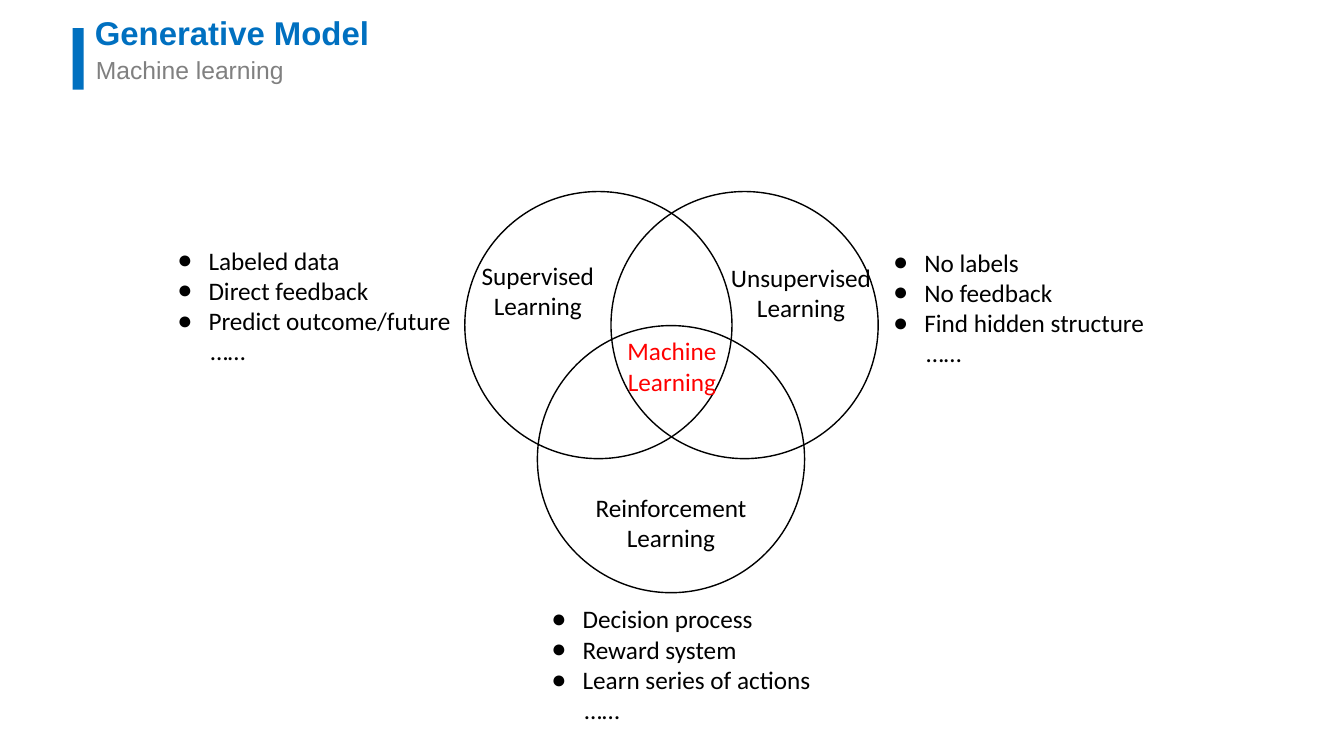
from lxml import etree
from pptx import Presentation
from pptx import util as u
from pptx.dml.color import RGBColor
from pptx.enum import shapes, text
from pptx.oxml import ns

PX = 9144  # EMU per px, 100 px to the inch
BLUE = RGBColor(0x00, 0x70, 0xC0)
GREY = RGBColor(0x80, 0x80, 0x80)
BLACK = RGBColor(0, 0, 0)
RED = RGBColor(0xFF, 0, 0)
WHITE = RGBColor(0xFF, 0xFF, 0xFF)


def add_span(para, words, size, color, font="Calibri", bold=False):
    span = para.add_run()
    span.text = words
    span.font.name, span.font.size, span.font.bold = font, u.Pt(size), bold
    span.font.color.rgb = color


def add_shape(kind, left, top, width, height):
    shape = page.shapes.add_shape(kind, left * PX, top * PX, width * PX, height * PX)
    shape.shadow.inherit = False
    return shape


deck = Presentation()
deck.slide_width, deck.slide_height = 1333 * PX, 750 * PX
page = deck.slides.add_slide(deck.slide_layouts[0])

# Heading: accent bar, title and subtitle
bar = add_shape(shapes.MSO_SHAPE.RECTANGLE, 72, 28, 11, 61)
bar.fill.solid()
bar.fill.fore_color.rgb = BLUE
bar.line.fill.background()

headings = [
    ("Generative Model", (84, 14, 1044, 43), 23.5, BLUE, True, 0.8),
    ("Machine learning", (85, 57, 1178, 32), 17.6, GREY, False, 0.7),
]
for box, (words, place, size, color, bold, spacing) in zip(page.placeholders, headings):
    box.left, box.top, box.width, box.height = [n * PX for n in place]
    frame = box.text_frame
    frame.auto_size = text.MSO_AUTO_SIZE.NONE
    frame.vertical_anchor = text.MSO_ANCHOR.MIDDLE
    para = frame.paragraphs[0]
    para.alignment = text.PP_ALIGN.LEFT
    para.line_spacing = spacing
    para.space_before = u.Pt(0)
    add_span(para, words, size, color, "Arial", bold)

# Three overlapping circles, only the rearmost one filled
DIAMETER = 265
for left, top, filled in [(461, 190, True), (606, 190, False), (533, 323, False)]:
    circle = add_shape(shapes.MSO_SHAPE.OVAL, left, top, DIAMETER, DIAMETER)
    if filled:
        circle.fill.solid()
        circle.fill.fore_color.rgb = WHITE
    else:
        circle.fill.background()
    circle.line.color.rgb = BLACK
    circle.line.width = u.Pt(1)

# Circle labels, centred on a given x
LABEL_WIDTH = 177
labels = [
    ("Machine", 666, 328, RED),
    ("Supervised", 533, 253, BLACK),
    ("Reinforcement", 665, 483, BLACK),
    ("Unsupervised", 794, 255, BLACK),
]
for kind, center, top, color in labels:
    box = page.shapes.add_textbox(
        (center - LABEL_WIDTH // 2) * PX, top * PX, LABEL_WIDTH * PX, 71 * PX)
    frame = box.text_frame
    frame.word_wrap = True
    for para, words in zip((frame.paragraphs[0], frame.add_paragraph()), (kind, "Learning")):
        para.alignment = text.PP_ALIGN.CENTER
        add_span(para, words, 18, color)

# Bulleted traits beside each circle, closed by an indented ellipsis
INDENT, ELLIPSIS_INDENT = 31, 33
traits = [
    (166, 238, 295, ["Labeled data", "Direct feedback", "Predict outcome/future"]),
    (876, 240, 273, ["No labels", "No feedback", "Find hidden structure"]),
    (537, 594, 281, ["Decision process", "Reward system", "Learn series of actions"]),
]
for left, top, width, items in traits:
    box = page.shapes.add_textbox(left * PX, top * PX, width * PX, 131 * PX)
    frame = box.text_frame
    frame.word_wrap = False
    for item in items:
        para = frame.paragraphs[0] if item == items[0] else frame.add_paragraph()
        add_span(para, item, 18, BLACK)
        props = para._p.get_or_add_pPr()
        props.set("marL", str(INDENT * PX))
        props.set("indent", str(-INDENT * PX))
        etree.SubElement(props, ns.qn("a:buFont"), typeface="Arial")
        etree.SubElement(props, ns.qn("a:buChar"), char="●")
    para = frame.add_paragraph()
    para._p.get_or_add_pPr().set("marL", str(ELLIPSIS_INDENT * PX))
    add_span(para, "……", 18, BLACK)

deck.save("out.pptx")
